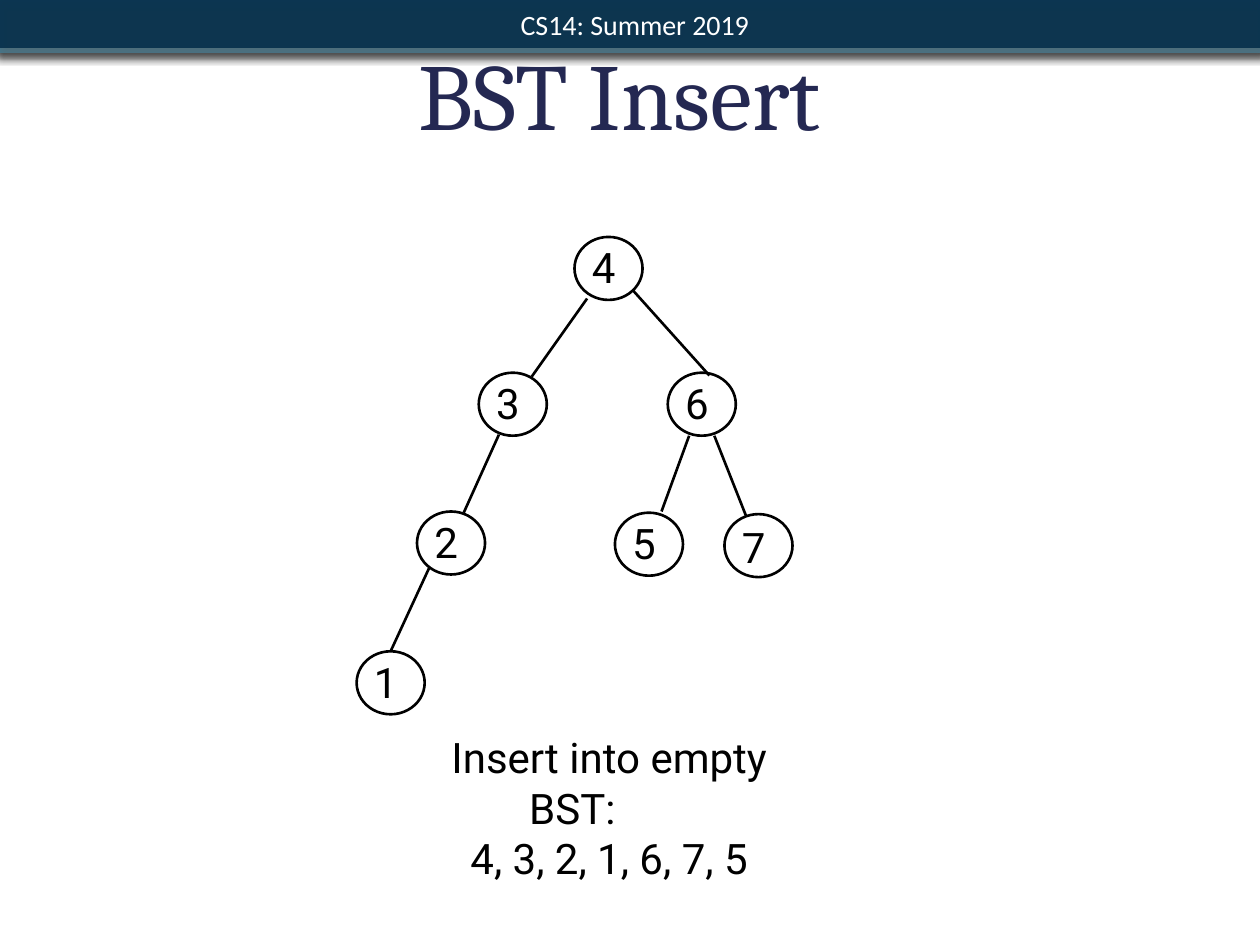
"""Build the slide on inserting keys into a binary search tree."""
from lxml import etree
from pptx import Presentation
from pptx import util as u
from pptx.dml.color import RGBColor
from pptx.enum import shapes, text
from pptx.oxml import parse_xml
from pptx.oxml.ns import nsdecls, qn

HUES = {"ink": "000000", "title": "242852", "bar": "062F4B",
        "edge": "427A92", "white": "FFFFFF", "shade": "5E5E5E"}
KEYS = [("4", 328.3, 135.4, 0), ("6", 381.6, 213, 0), ("5", 351.4, 293, 0),
        ("7", 414, 293.8, 1.4), ("3", 273.6, 213, 0),
        ("2", 238.3, 292.3, 0), ("1", 203.8, 372.2, 0)]
LINKS = [(361.4, 165.6, 405.4, 214.6), (393.8, 249, 378, 292.3),
         (408.2, 249, 426.2, 294.5), (285.1, 248.4, 265, 293),
         (335.5, 170.6, 303.8, 215.3), (245.5, 324, 223.2, 372.2)]


class Deck:
    """Hold the style and the current slide."""

    def __init__(self):
        self.prs = Presentation()
        self.prs.slide_width, self.prs.slide_height = u.Pt(720), u.Pt(540)
        self.slide = self.prs.slides.add_slide(self.prs.slide_layouts[5])
        self.items = self.slide.shapes

    def hue(self, name):
        return RGBColor.from_string(HUES[name])

    def frame(self, shape, inset=3.6, mid=False, wrap=True):
        box = shape.text_frame
        box.margin_left = box.margin_right = u.Pt(inset)
        box.margin_top = box.margin_bottom = u.Pt(inset)
        box.word_wrap = wrap
        anchor = text.MSO_ANCHOR
        box.vertical_anchor = anchor.MIDDLE if mid else anchor.TOP
        return box

    def style(self, para, words, font, size, hue, center=True, indent=0):
        para.text = words
        align = text.PP_ALIGN
        para.alignment = align.CENTER if center else align.LEFT
        if indent:
            props = para._p.get_or_add_pPr()
            props.set("marL", "0")
            props.set("indent", str(u.Pt(indent)))
        face = para.runs[0].font
        face.name, face.size = font, u.Pt(size)
        face.color.rgb = self.hue(hue)

    def bar(self, place, fill, shade, dark, alpha=100):
        shape = self.items.add_shape(shapes.MSO_SHAPE.RECTANGLE,
                                     *map(u.Pt, place))
        shape.fill.solid()
        shape.fill.fore_color.rgb = self.hue(fill)
        shape.line.fill.background()
        tint = shape._element.spPr.find(qn("a:solidFill"))[0]
        etree.SubElement(tint, qn("a:alpha")).set("val", str(alpha * 1000))
        shape._element.spPr.append(parse_xml(
            f'<a:effectLst {nsdecls("a")}><a:outerShdw blurRad="{u.Pt(5)}" '
            f'dist="{u.Pt(2)}" dir="5400000" rotWithShape="0">'
            f'<a:srgbClr val="{HUES[shade]}"><a:alpha val="{dark * 1000}"/>'
            '</a:srgbClr></a:outerShdw></a:effectLst>'))
        return shape

    def head(self, words):
        self.bar((-2.9, -4.3, 725, 34.6), "edge", "ink", 75)
        shape = self.bar((-0.7, 0, 722, 27.4), "bar", "shade", 50, 90)
        box = self.frame(shape, 4.3, mid=True)
        self.style(box.paragraphs[0], words, "Calibri", 16, "white", indent=5)

    def title(self, words):
        shape = self.items.title
        shape.left, shape.top = u.Pt(48.2), u.Pt(23.8)
        shape.width, shape.height = u.Pt(612), u.Pt(67)
        box = self.frame(shape)
        box.auto_size = text.MSO_AUTO_SIZE.NONE
        self.style(box.paragraphs[0], words, "Cambria", 54, "title")
        box.paragraphs[0].line_spacing = u.Pt(58)

    def node(self, key, x, y, drop):
        group = self.items.add_group_shape().shapes
        ring = group.add_shape(shapes.MSO_SHAPE.OVAL, u.Pt(x), u.Pt(y),
                               u.Pt(38.9), u.Pt(36))
        ring.shadow.inherit = False
        ring.fill.background()
        ring.line.color.rgb, ring.line.width = self.hue("ink"), u.Pt(1.5)
        label = group.add_textbox(u.Pt(x + 6.3), u.Pt(y - 0.8 + drop),
                                  u.Pt(21.6), u.Pt(36))
        box = self.frame(label, mid=True, wrap=False)
        self.style(box.paragraphs[0], key, "Roboto", 24, "ink", center=False)

    def link(self, *ends):
        line = self.items.add_connector(shapes.MSO_CONNECTOR.STRAIGHT,
                                        *map(u.Pt, ends))
        line.line.color.rgb, line.line.width = self.hue("ink"), u.Pt(1.5)
        etree.SubElement(line._element.spPr, qn("a:effectLst"))

    def note(self, place, lines):
        box = self.frame(self.items.add_textbox(*map(u.Pt, place)))
        for i, words in enumerate(lines):
            para = box.add_paragraph() if i else box.paragraphs[0]
            self.style(para, words, "Roboto", 24, "ink", indent=36)


def main():
    deck = Deck()
    deck.head("CS14: Summer 2019")
    deck.title("BST Insert")
    for key in KEYS:
        deck.node(*key)
    for ends in LINKS:
        deck.link(*ends)
    deck.note((192.2, 414.7, 275.8, 91.4),
              ["Insert into empty BST: ", "4, 3, 2, 1, 6, 7, 5"])
    deck.prs.save("out.pptx")


if __name__ == "__main__":
    main()
